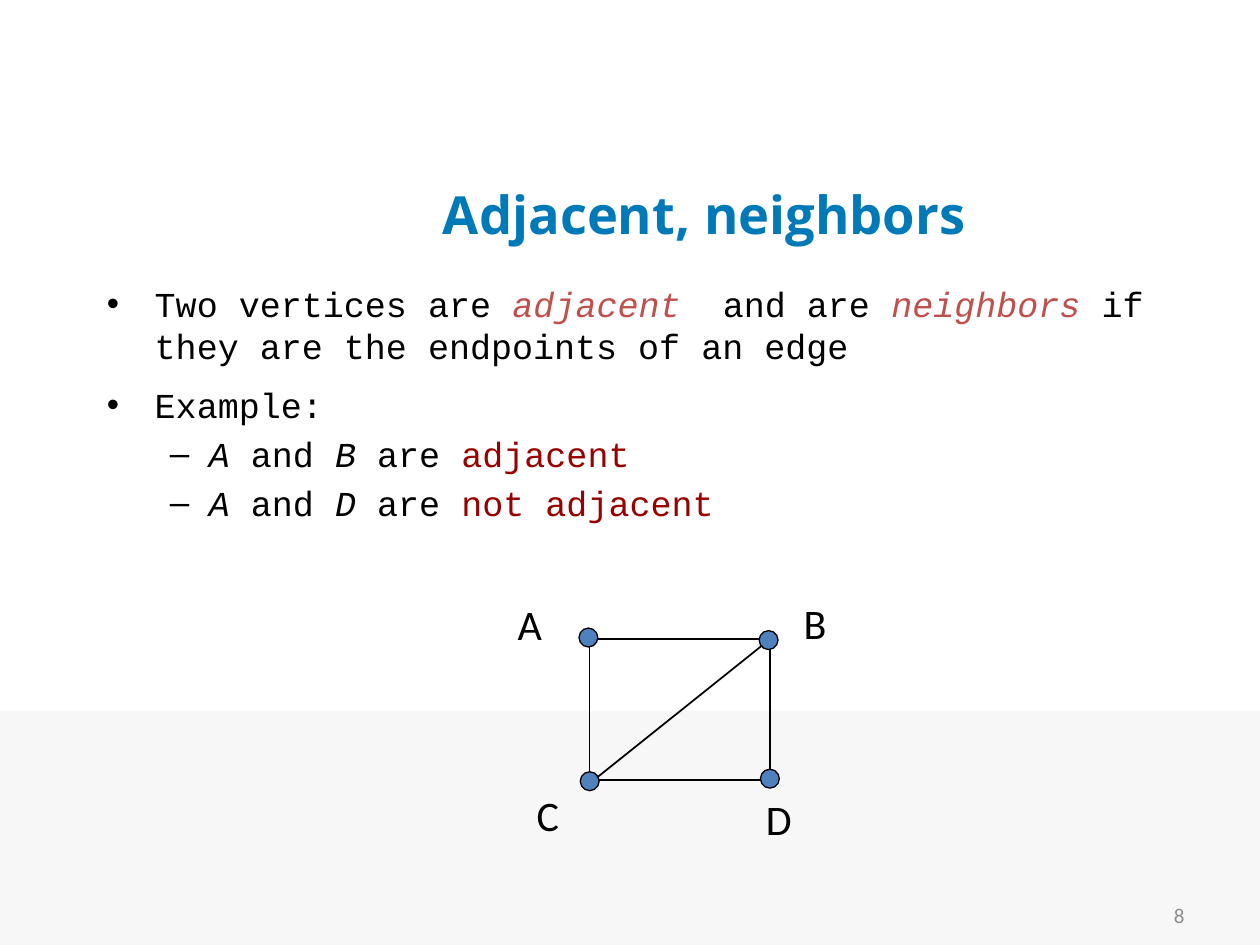
from lxml import etree
from pptx import Presentation, util as u
from pptx.dml.color import RGBColor
from pptx.enum import shapes, text
from pptx.oxml.ns import qn

WIDTH, HEIGHT = 10, 7.5
COLORS = {"band": "F7F7F7", "title": "0079B8", "number": "8C8C8C", "ink": "000000",
          "term": "C0504D", "answer": "990000", "node": "4F81BD"}

TITLE = "Adjacent, neighbors"
SLIDE_NUMBER = "8"
# Each paragraph: level, space before in points, runs of (text, color, italic)
BODY = [
    (0, 0, [("Two vertices are ", "ink", False), ("adjacent", "term", True),
            ("  and are ", "ink", False), ("neighbors", "term", True),
            (" if they are the endpoints of an edge", "ink", False)]),
    (0, 10, [("Example:", "ink", False)]),
    (1, 4, [("A", "ink", True), (" and ", "ink", False), ("B", "ink", True),
            (" are ", "ink", False), ("adjacent", "answer", False)]),
    (1, 4, [("A", "ink", True), (" and ", "ink", False), ("D", "ink", True),
            (" are ", "ink", False), ("not adjacent", "answer", False)]),
]
LEVELS = [{"bullet": "•", "left": 0.38, "hanging": 0.38},
          {"bullet": "–", "left": 0.81, "hanging": 0.31}]

# Each vertex: node center, then label box (left, top, width)
VERTICES = {
    "B": ((6.1, 5.08), (6.28, 4.69, 0.54)),
    "A": ((4.67, 5.06), (4.01, 4.7, 0.47)),
    "D": ((6.11, 6.18), (5.98, 6.25, 0.62)),
    "C": ((4.68, 6.2), (4.16, 6.22, 0.45)),
}
NODE_SIZE = 0.15
LABEL_HEIGHT = 0.51
OUTER_EDGES = (4.68, 5.07, 1.43, 1.12)
DIAGONAL = (4.74, 6.17, 6.04, 5.13)


def inches(values):
    return [u.Inches(value) for value in values]


def rgb(name):
    return RGBColor.from_string(COLORS[name])


def add_run(paragraph, content, color, **font_values):
    run = paragraph.add_run()
    run.text = content
    run.font.color.rgb = rgb(color)
    for name, value in font_values.items():
        setattr(run.font, name, value)


def add_text_box(slide, box, **frame_values):
    frame = slide.shapes.add_textbox(*inches(box)).text_frame
    frame.word_wrap = True
    for name, value in frame_values.items():
        setattr(frame, name, value)
    return frame


def add_line_of_text(slide, box, content, color, align, anchor, **font_values):
    frame = add_text_box(slide, box, vertical_anchor=anchor)
    paragraph = frame.paragraphs[0]
    paragraph.alignment = align
    add_run(paragraph, content, color, **font_values)


def add_shape(parent, kind, box, fill=None, line_width=None):
    shape = parent.add_shape(kind, *inches(box))
    shape.shadow.inherit = False
    if fill:
        shape.fill.solid()
        shape.fill.fore_color.rgb = rgb(fill)
    else:
        shape.fill.background()
    if line_width:
        shape.line.color.rgb = rgb("ink")
        shape.line.width = u.Pt(line_width)
    else:
        shape.line.fill.background()


def set_bullet(paragraph, bullet, left, hanging):
    properties = paragraph._p.get_or_add_pPr()
    properties.set("marL", str(u.Inches(left)))
    properties.set("indent", str(-u.Inches(hanging)))
    etree.SubElement(properties, qn("a:buFont")).set("typeface", "Arial")
    etree.SubElement(properties, qn("a:buChar")).set("char", bullet)


def add_body(slide):
    frame = add_text_box(slide, (0.75, 2.19, 8.5, 4.48))
    for index, (level, space, runs) in enumerate(BODY):
        paragraph = frame.add_paragraph() if index else frame.paragraphs[0]
        set_bullet(paragraph, **LEVELS[level])
        paragraph.level = level
        paragraph.space_before = u.Pt(space)
        for content, color, italic in runs:
            add_run(paragraph, content, color, name="Courier New", size=u.Pt(20), italic=italic)


def add_graph(slide):
    graph = slide.shapes.add_group_shape().shapes
    add_shape(graph, shapes.MSO_SHAPE.RECTANGLE, OUTER_EDGES, line_width=1)
    for (x, y), _ in VERTICES.values():
        box = (x - NODE_SIZE / 2, y - NODE_SIZE / 2, NODE_SIZE, NODE_SIZE)
        add_shape(graph, shapes.MSO_SHAPE.OVAL, box, "node", 0.75)
    edge = graph.add_connector(shapes.MSO_CONNECTOR.STRAIGHT, *inches(DIAGONAL))
    edge.line.color.rgb = rgb("ink")
    edge.line.width = u.Pt(1)
    etree.SubElement(edge._element.spPr, qn("a:effectLst"))
    for name, (_, label_box) in VERTICES.items():
        add_line_of_text(slide, (*label_box, LABEL_HEIGHT), name, "ink", text.PP_ALIGN.LEFT,
                         text.MSO_ANCHOR.TOP, name="Calibri", size=u.Pt(24))


def main():
    presentation = Presentation()
    presentation.slide_width, presentation.slide_height = inches((WIDTH, HEIGHT))
    slide = presentation.slides.add_slide(presentation.slide_layouts[6])
    band_top = 0.752 * HEIGHT
    add_shape(slide.shapes, shapes.MSO_SHAPE.RECTANGLE,
              (0, band_top, WIDTH, HEIGHT - band_top), "band")
    add_line_of_text(slide, (7.17, 7.06, 2.33, 0.4), SLIDE_NUMBER, "number",
                     text.PP_ALIGN.RIGHT, text.MSO_ANCHOR.MIDDLE, name="Calibri", size=u.Pt(12))
    add_line_of_text(slide, (1.34, 1.21, 8.5, 0.97), TITLE, "title", text.PP_ALIGN.CENTER,
                     text.MSO_ANCHOR.MIDDLE, name="Open Sans", size=u.Pt(30), bold=True)
    add_body(slide)
    add_graph(slide)
    presentation.save("out.pptx")


if __name__ == "__main__":
    main()
